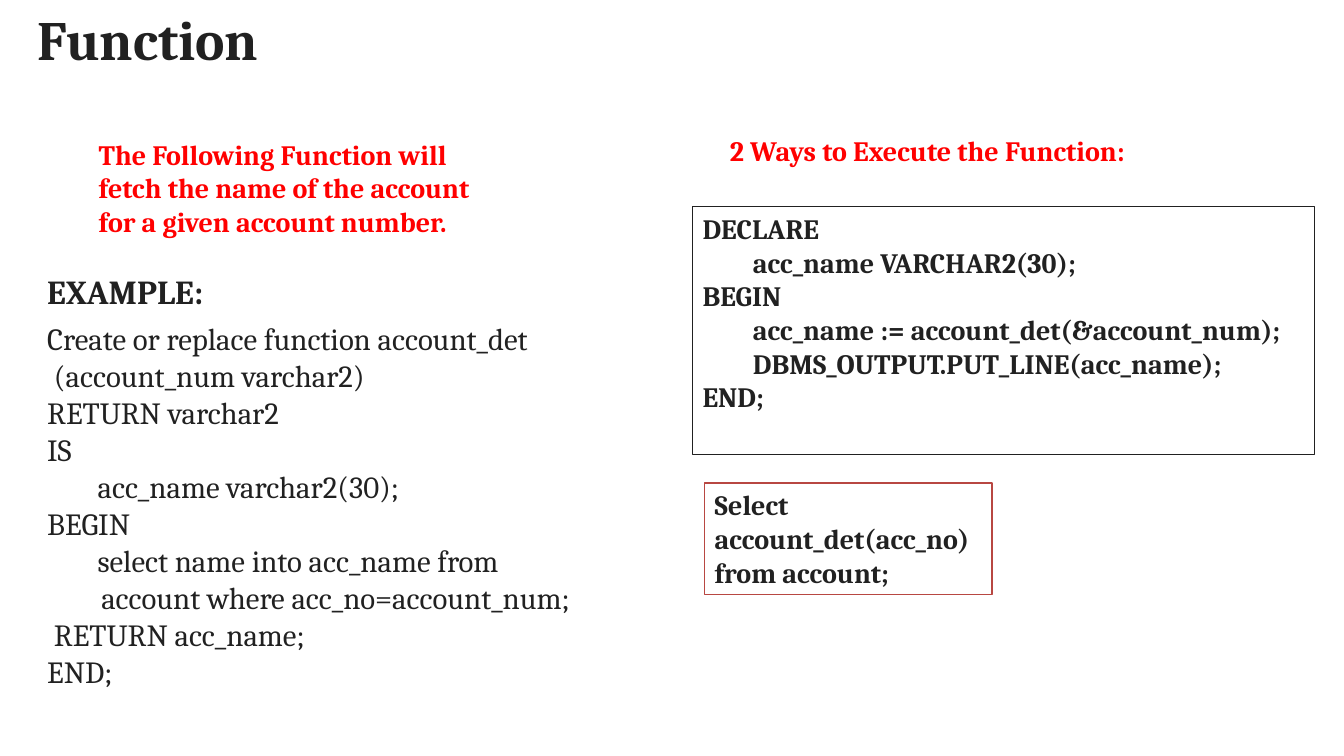
from pptx import Presentation
from pptx import util as u
from pptx.dml import color
from pptx.enum import shapes, text

INK = "212121"
RED = "FF0000"
RUST = "B84742"

CODE = """Create or replace function account_det
 (account_num varchar2)
RETURN varchar2
IS
  \tacc_name varchar2(30);
BEGIN
\tselect name into acc_name from
        account where acc_no=account_num;
 RETURN acc_name;
END;"""

BLOCK = """DECLARE
\tacc_name VARCHAR2(30);
BEGIN
\tacc_name := account_det(&account_num);
\tDBMS_OUTPUT.PUT_LINE(acc_name);
END;"""


def tint(code):
    return color.RGBColor.from_string(code)


def place(shape, box):
    for name, size in zip(("left", "top", "width", "height"), box):
        setattr(shape, name, u.Inches(size))


def style(para, size, ink=INK, bold=True, **extra):
    para.alignment = text.PP_ALIGN.LEFT
    for name, value in extra.items():
        setattr(para, name, value)
    looks = {"name": "Cambria", "size": u.Pt(size), "bold": bold}
    for run in para.runs:
        for name, value in looks.items():
            setattr(run.font, name, value)
        run.font.color.rgb = tint(ink)


def write(shape, words, size=20, ink=INK):
    frame = shape.text_frame
    frame.word_wrap = True
    frame.vertical_anchor = text.MSO_ANCHOR.TOP
    frame.text = words
    for para in frame.paragraphs:
        style(para, size, ink)


def title(slide, box):
    head = slide.shapes.title
    place(head, box)
    write(head, "Function")
    head.text_frame.vertical_anchor = text.MSO_ANCHOR.MIDDLE
    style(head.text_frame.paragraphs[0], 39.6, line_spacing=0.8)


def label(slide, box, words):
    note = slide.shapes.add_textbox(*map(u.Inches, box))
    write(note, words, ink=RED)


def sample(slide, box):
    area = slide.shapes.add_textbox(*map(u.Inches, box))
    write(area, "EXAMPLE:\n" + CODE)
    first, *lines = area.text_frame.paragraphs
    style(first, 24, space_after=u.Pt(6))
    for line in lines:
        style(line, 22, bold=False)


def panel(slide, box, words, edge):
    kind = shapes.MSO_SHAPE.RECTANGLE
    card = slide.shapes.add_shape(kind, *map(u.Inches, box))
    card.shadow.inherit = False
    card.fill.solid()
    card.fill.fore_color.rgb = tint("FFFFFF")
    card.line.color.rgb = tint(edge)
    card.line.width = u.Pt(1)
    write(card, words)


def main():
    deck = Presentation()
    deck.slide_width = u.Inches(13.33)
    deck.slide_height = u.Inches(7.5)
    slide = deck.slides.add_slide(deck.slide_layouts[5])
    title(slide, (0.27, 0.12, 11.5, 0.64))
    sample(slide, (0.37, 2.64, 8.42, 4.29))
    label(slide, (0.88, 1.31, 4.29, 1.11),
          "The Following Function will fetch the name of the account "
          "for a given account number.")
    panel(slide, (6.87, 2.05, 6.17, 2.46), BLOCK, INK)
    label(slide, (7.14, 1.28, 6.1, 0.44), "2 Ways to Execute the Function:")
    panel(slide, (6.99, 4.79, 2.85, 1.11),
          "Select account_det(acc_no) from account;", RUST)
    deck.save("out.pptx")


if __name__ == "__main__":
    main()
